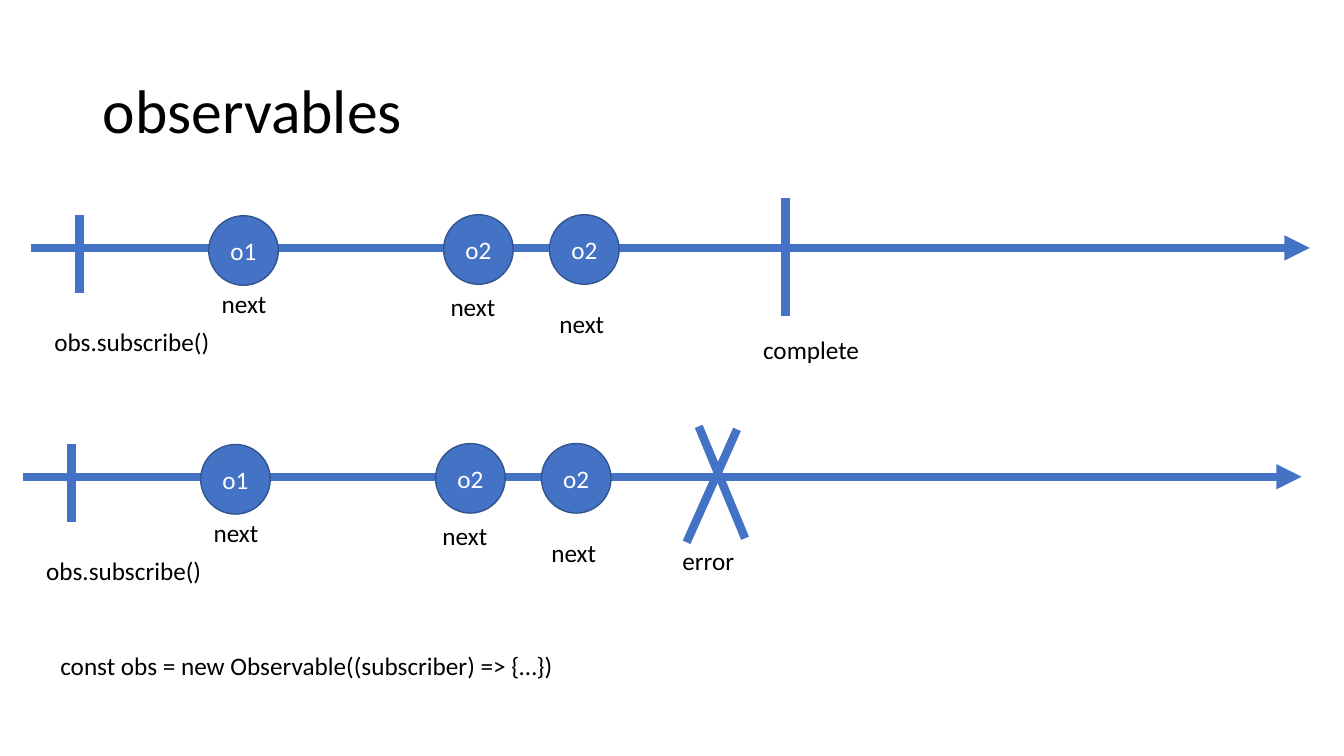
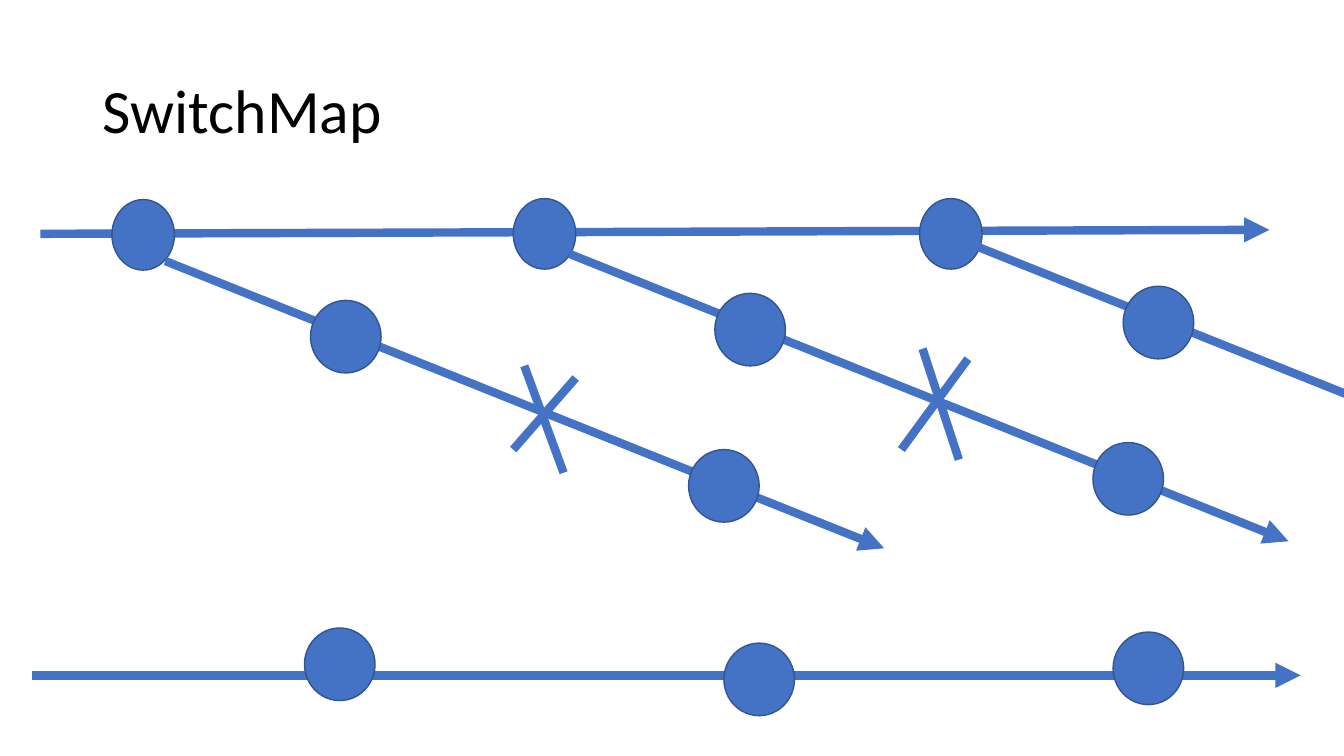
import dataclasses

import lxml.etree
import pptx
import pptx.dml.color
import pptx.enum.shapes
import pptx.enum.text
import pptx.oxml.ns
import pptx.util


@dataclasses.dataclass(frozen=True)
class Theme:
    """Colours, font, type sizes and line widths of the deck."""
    ink: str = "000000"
    blue: str = "4472C4"
    edge: str = "325491"
    light: str = "FFFFFF"
    font: str = "Calibri"
    head: int = 44
    body: int = 18
    thick: int = 6
    thin: int = 1


class Deck:
    """Draws in cells of a grid on the current slide."""
    cols, rows = 13.33, 7.5

    def __init__(self, theme):
        """Start an empty wide deck."""
        self.theme = theme
        self.prs = pptx.Presentation()
        self.prs.slide_width = pptx.util.Inches(13.33)
        self.prs.slide_height = pptx.util.Inches(7.5)
        self.slide = None

    def grid(self, *cells):
        """Turn alternating columns and rows into lengths."""
        units = (self.prs.slide_width / self.cols, self.prs.slide_height / self.rows)
        return [round(cell * units[i % 2]) for i, cell in enumerate(cells)]

    def paint(self, fmt, tone):
        """Give a fill or line format one plain colour."""
        fmt.solid()
        fmt.fore_color.rgb = pptx.dml.color.RGBColor.from_string(tone)

    def add_run(self, frame, text, size, tone, align=pptx.enum.text.PP_ALIGN.LEFT):
        """Add one styled run to the first paragraph."""
        para = frame.paragraphs[0]
        para.alignment = align
        run = para.add_run()
        run.text = text
        run.font.name = self.theme.font
        run.font.size = pptx.util.Pt(size)
        run.font.color.rgb = pptx.dml.color.RGBColor.from_string(tone)
        return para

    def page(self, text):
        """Open a slide and set its title."""
        self.slide = self.prs.slides.add_slide(self.prs.slide_layouts[5])
        title = self.slide.shapes.title
        title.left, title.top, title.width, title.height = self.grid(0.92, 0.4, 11.5, 1.45)
        title.text_frame.vertical_anchor = pptx.enum.text.MSO_ANCHOR.MIDDLE
        para = self.add_run(title.text_frame, text, self.theme.head, self.theme.ink)
        para.line_spacing = 0.9

    def label(self, text, x, y, wide):
        """Place a one-line text."""
        box = self.slide.shapes.add_textbox(*self.grid(x, y, wide, 0.4))
        box.text_frame.word_wrap = False
        box.text_frame.auto_size = pptx.enum.text.MSO_AUTO_SIZE.SHAPE_TO_FIT_TEXT
        self.add_run(box.text_frame, text, self.theme.body, self.theme.ink)

    def line(self, x, y, to_x, to_y, arrow=False):
        """Draw a thick line, with an arrowhead if asked."""
        link = self.slide.shapes.add_connector(
            pptx.enum.shapes.MSO_CONNECTOR.STRAIGHT, *self.grid(x, y, to_x, to_y))
        self.paint(link.line.fill, self.theme.blue)
        link.line.width = pptx.util.Pt(self.theme.thick)
        name = pptx.oxml.ns.qn
        props = link._element.spPr
        if arrow:
            lxml.etree.SubElement(props.find(name("a:ln")), name("a:tailEnd"), type="triangle")
        lxml.etree.SubElement(props, name("a:effectLst"))

    def dot(self, x, y, wide, high, text=""):
        """Draw an event as an ellipse."""
        oval = self.slide.shapes.add_shape(
            pptx.enum.shapes.MSO_SHAPE.OVAL, *self.grid(x, y, wide, high))
        oval.shadow.inherit = False
        self.paint(oval.fill, self.theme.blue)
        self.paint(oval.line.fill, self.theme.edge)
        oval.line.width = pptx.util.Pt(self.theme.thin)
        if text:
            oval.text_frame.vertical_anchor = pptx.enum.text.MSO_ANCHOR.MIDDLE
            self.add_run(oval.text_frame, text, self.theme.body, self.theme.light,
                         pptx.enum.text.PP_ALIGN.CENTER)

    def cross(self, *strokes):
        """Draw the strokes that end a stream."""
        for stroke in strokes:
            self.line(*stroke)

    def lane(self, x, y):
        """Draw a subscribed stream with three events."""
        self.line(x, y, x + 12.68, y, arrow=True)
        self.line(x + 0.48, y - 0.33, x + 0.48, y + 0.45)
        self.label("obs.subscribe()", x + 0.13, y + 0.73, 1.76)
        events = (("o1", 1.76, -0.32, 1.79, 0.35),
                  ("o2", 4.09, -0.33, 4.06, 0.38),
                  ("o2", 5.14, -0.33, 5.14, 0.55))
        for text, dx, dy, next_x, next_y in events:
            self.dot(x + dx, y + dy, 0.69, 0.69, text)
            self.label("next", x + next_x, y + next_y, 0.65)

    def branch(self, x, y, count):
        """Draw an inner stream with its first events."""
        self.line(x, y, x + 7.13, y + 2.85, arrow=True)
        for dx, dy in ((1.44, 0.39), (5.19, 1.87))[:count]:
            self.dot(x + dx, y + dy, 0.7, 0.72)


def main():
    """Build both slides and save them."""
    deck = Deck(Theme())

    deck.page("observables")
    deck.lane(0.31, 2.46)
    deck.line(7.79, 1.96, 7.79, 3.14)
    deck.label("complete", 7.47, 3.27, 1.17)
    deck.lane(0.23, 4.73)
    deck.cross((6.93, 4.23, 7.39, 5.34), (7.31, 4.26, 6.81, 5.38))
    deck.label("error", 6.67, 5.36, 0.72)
    deck.label("const obs = new Observable((subscriber) => {…})", 0.5, 6.4, 5.14)

    deck.page("SwitchMap")
    deck.line(0.4, 2.32, 12.59, 2.28, arrow=True)
    for x, y in ((1.11, 1.98), (5.09, 1.97), (9.12, 1.97)):
        deck.dot(x, y, 0.62, 0.7)
    for x, y, count in ((1.64, 2.59, 2), (5.65, 2.52, 2), (9.7, 2.45, 1)):
        deck.branch(x, y, count)
    deck.cross((5.2, 3.63, 5.59, 4.69), (5.71, 3.75, 5.09, 4.46))
    deck.cross((9.15, 3.46, 9.51, 4.56), (9.6, 3.56, 8.94, 4.46))
    deck.line(0.32, 6.7, 12.9, 6.7, arrow=True)
    for x, y in ((3.02, 6.23), (7.18, 6.38), (11.04, 6.27)):
        deck.dot(x, y, 0.7, 0.72)

    deck.prs.save("out.pptx")


if __name__ == "__main__":
    main()
